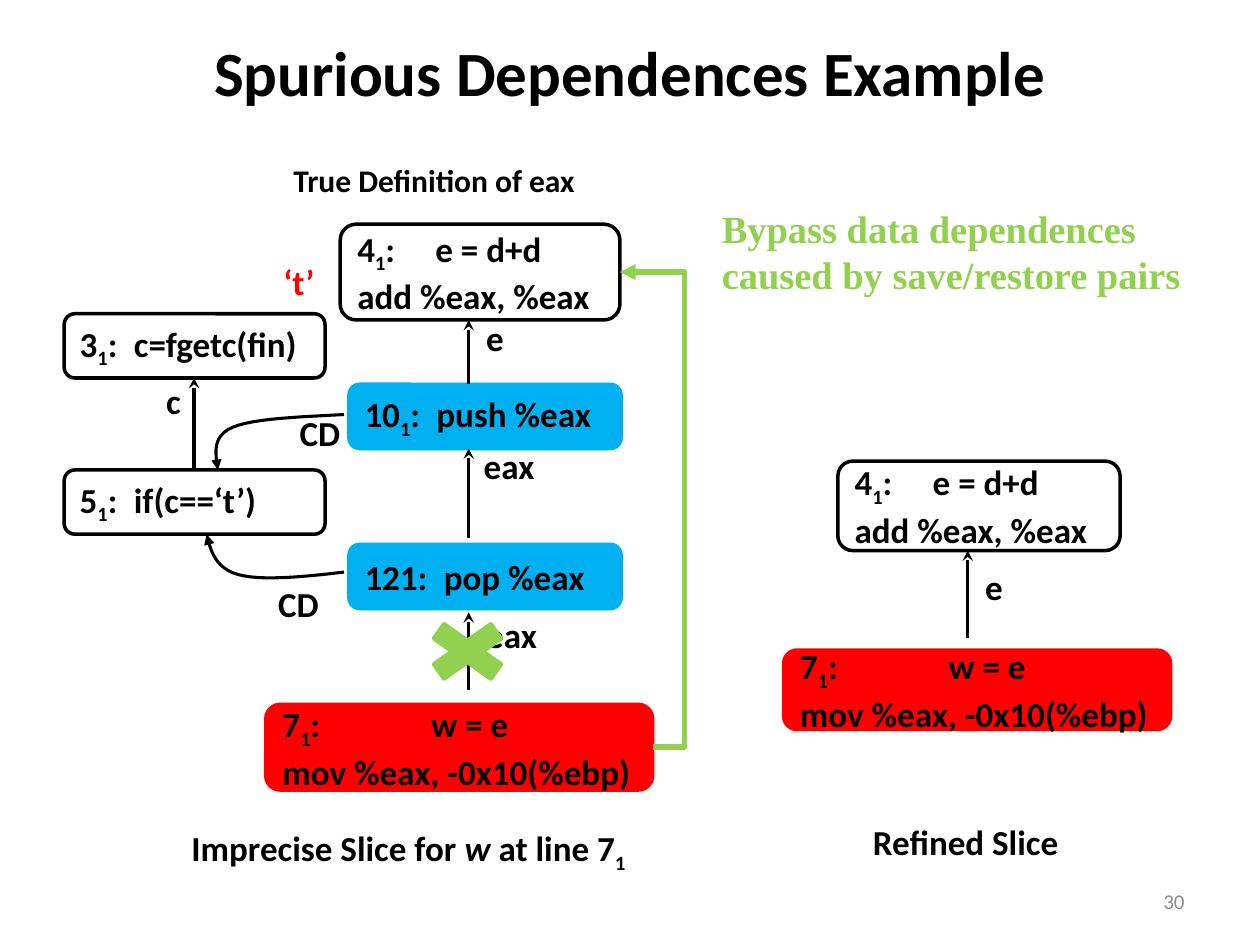
import dataclasses

import lxml.etree
import pptx
import pptx.dml.color
import pptx.enum.shapes
import pptx.enum.text
import pptx.oxml.ns
import pptx.util

SHAPE = pptx.enum.shapes.MSO_SHAPE
CONNECTOR = pptx.enum.shapes.MSO_CONNECTOR
ANCHOR = pptx.enum.text.MSO_ANCHOR
ALIGN = pptx.enum.text.PP_ALIGN
qn = pptx.oxml.ns.qn


@dataclasses.dataclass(frozen=True)
class Theme:
    black: str = "000000"
    red: str = "FF0000"
    blue: str = "00B0F0"
    green: str = "92D050"
    gray: str = "8C8C8C"
    font: str = "Calibri"
    note_font: str = "Times New Roman"
    title: int = 36
    note: int = 22
    body: int = 20
    caption: int = 18
    number: int = 12
    outline: float = 2
    arrow: float = 1.75
    bypass: float = 3


THEME = Theme()
WIDTH, HEIGHT = pptx.util.Inches(10), pptx.util.Inches(7.5)
COLS, ROWS = 100, 75
SUB = {"baseline": "-25000"}
ITALIC = {"i": "1"}


def col(n):
    return round(WIDTH * n / COLS)


def row(n):
    return round(HEIGHT * n / ROWS)


def area(box):
    x, y, w, h = box
    return col(x), row(y), col(w), row(h)


def rgb(color):
    return pptx.dml.color.RGBColor.from_string(color)


def apply(obj, fmt):
    for name, value in fmt.items():
        setattr(obj, name, value)


def write(tf, lines, size=THEME.body, color=THEME.black, font=THEME.font,
          bold=True, align=ALIGN.LEFT, tab=None):
    for i, line in enumerate(lines):
        p = tf.paragraphs[0] if i == 0 else tf.add_paragraph()
        p.alignment = align
        if tab:
            stops = lxml.etree.SubElement(p._p.get_or_add_pPr(), qn("a:tabLst"))
            lxml.etree.SubElement(stops, qn("a:tab"), pos=str(col(tab)), algn="l")
        for text, marks in line:
            r = p.add_run()
            r.text = text
            apply(r.font, {"name": font, "size": pptx.util.Pt(size), "bold": bold})
            r.font.color.rgb = rgb(color)
            for name, value in marks.items():
                r._r.get_or_add_rPr().set(name, value)


def plain(text):
    return [(text, {})]


def label(s, text, box, wrap=False, anchor=ANCHOR.TOP, **style):
    tf = s.shapes.add_textbox(*area(box)).text_frame
    apply(tf, {"word_wrap": wrap, "vertical_anchor": anchor})
    lines = [plain(t) for t in text.split("\n")] if isinstance(text, str) else text
    write(tf, lines, **style)


def block(s, kind, box, fill=None):
    sp = s.shapes.add_shape(kind, *area(box))
    sp.shadow.inherit = False
    if fill:
        sp.fill.solid()
        sp.fill.fore_color.rgb = rgb(fill)
    else:
        sp.fill.background()
    stroke(sp, fill or THEME.black, THEME.outline)
    return sp


def node(s, number, sub, statement, box, tab, fill=None, code=None):
    tf = block(s, SHAPE.ROUNDED_RECTANGLE, box, fill).text_frame
    apply(tf, {"word_wrap": True, "vertical_anchor": ANCHOR.MIDDLE})
    first = plain(number) + ([(sub, SUB)] if sub else []) + plain(":\t" + statement)
    write(tf, [first] + ([plain(code)] if code else []), tab=tab)


def stroke(sp, color, width, end=None, kind="triangle"):
    sp.line.color.rgb = rgb(color)
    sp.line.width = pptx.util.Pt(width)
    if end:
        ln = sp._element.spPr.find(qn("a:ln"))
        lxml.etree.SubElement(ln, qn("a:" + end), type=kind)


def connect(s, kind, x1, y1, x2, y2):
    c = s.shapes.add_connector(kind, col(x1), row(y1), col(x2), row(y2))
    return c


def flatten(c):
    lxml.etree.SubElement(c._element.spPr, qn("a:effectLst"))


def arrow_up(s, x, tip, base):
    c = connect(s, CONNECTOR.STRAIGHT, x, tip, x, base)
    stroke(c, THEME.black, THEME.arrow, "headEnd", "stealth")
    flatten(c)


def bypass(s, start, end, bend):
    c = connect(s, CONNECTOR.ELBOW, *start, *end)
    guides = c._element.spPr.find(qn("a:prstGeom")).find(qn("a:avLst"))
    lxml.etree.SubElement(guides, qn("a:gd"), name="adj1", fmla=f"val {bend}")
    stroke(c, THEME.green, THEME.bypass, "tailEnd")
    flatten(c)


def bezier(points, steps=12):
    for i in range(1, steps + 1):
        t = i / steps
        weights = ((1 - t) ** 3, 3 * t * (1 - t) ** 2, 3 * t * t * (1 - t), t ** 3)
        yield tuple(sum(w * p[k] for w, p in zip(weights, points)) for k in (0, 1))


def curve(s, *points):
    dots = [*bezier(points[:4]), *bezier(points[3:])]
    builder = s.shapes.build_freeform(col(points[0][0]), row(points[0][1]))
    builder.add_line_segments([(col(x), row(y)) for x, y in dots], close=False)
    sp = builder.convert_to_shape()
    sp.shadow.inherit = False
    sp.fill.background()
    stroke(sp, THEME.black, THEME.arrow, "tailEnd")


def definition(s, box):
    node(s, "4", "1", "e = d+d", box, 6.2, code="add %eax, %eax")


def use(s, box):
    node(s, "7", "1", "w = e", box, 11.8, THEME.red, "mov %eax, -0x10(%ebp)")


def refined_slice(s):
    use(s, (62.2, 51.6, 30.7, 6.3))
    definition(s, (66.5, 36.6, 22.4, 7.1))
    arrow_up(s, 76.8, 43.7, 50.6)
    label(s, "e", (77.2, 44.4, 3.4, 4.4))
    label(s, "Refined Slice", (68.3, 64.6, 16.9, 4.4))


def imprecise_slice(s):
    node(s, "3", "1", "c=fgetc(fin)", (5.1, 24.9, 20.7, 5.1), 4.3)
    node(s, "5", "1", "if(c==‘t’)", (5.1, 37.3, 20.7, 5.1), 4.3)
    node(s, "121", "", "pop %eax", (27.7, 43.2, 21.6, 5.1), 6.3, THEME.blue)
    node(s, "10", "1", "push %eax", (27.7, 30.5, 21.6, 5.1), 5.7, THEME.blue)
    use(s, (21.1, 55.9, 30.7, 6.8))
    definition(s, (27, 17.8, 22.2, 7.6))
    arrow_up(s, 15.4, 30, 37.3)
    for tip, base in ((48.6, 54.8), (25.4, 30.5), (35.6, 42.7)):
        arrow_up(s, 37.2, tip, base)
    curve(s, (27.3, 32.9), (23.8, 33.1), (20.2, 33.2), (18.5, 33.9),
          (16.8, 34.6), (17.1, 36), (17.3, 37.3))
    curve(s, (27.3, 45.4), (24, 45.8), (20.7, 46.1), (18.9, 45.6),
          (17.1, 45.1), (16.7, 43.7), (16.4, 42.4))
    label(s, "‘t’", (21.5, 20.2, 4.5, 4.7), color=THEME.red)
    for text, x, y, w in (("c", 12.2, 29.6, 3.2), ("CD", 21.1, 45.7, 5.3),
                          ("CD", 22.8, 32.2, 5.3), ("eax", 37.4, 34.8, 6.1),
                          ("eax", 37.6, 48.2, 6.1), ("e", 37.6, 24.6, 3.4)):
        label(s, text, (x, y, w, 4.7))
    caption = [("Imprecise Slice for ", {}), ("w ", ITALIC), ("at line 7", {}), ("1", SUB)]
    label(s, [caption], (14.2, 65.1, 36.9, 4.7))
    bypass(s, (51.8, 59.3), (49.2, 21.6), -97700)
    block(s, SHAPE.MATH_MULTIPLY, (32.7, 48.6, 8.8, 6.2), THEME.green)


def main():
    prs = pptx.Presentation()
    apply(prs, {"slide_width": WIDTH, "slide_height": HEIGHT})
    s = prs.slides.add_slide(prs.slide_layouts[5])
    title = s.shapes.title
    apply(title, dict(zip(("left", "top", "width", "height"), area((5, 0, 90, 11.3)))))
    title.text_frame.vertical_anchor = ANCHOR.MIDDLE
    write(title.text_frame, [plain("Spurious Dependences Example")],
          size=THEME.title, align=ALIGN.CENTER)
    refined_slice(s)
    imprecise_slice(s)
    label(s, "Bypass data dependences\ncaused by save/restore pairs",
          (56.3, 15.8, 38.8, 11.4), size=THEME.note, color=THEME.green, font=THEME.note_font)
    label(s, "True Definition of eax", (22.3, 12.3, 24.6, 4), size=THEME.caption)
    label(s, "30", (71.7, 69.5, 23.3, 4), wrap=True, anchor=ANCHOR.MIDDLE,
          size=THEME.number, color=THEME.gray, bold=False, align=ALIGN.RIGHT)
    prs.save("out.pptx")


if __name__ == "__main__":
    main()
